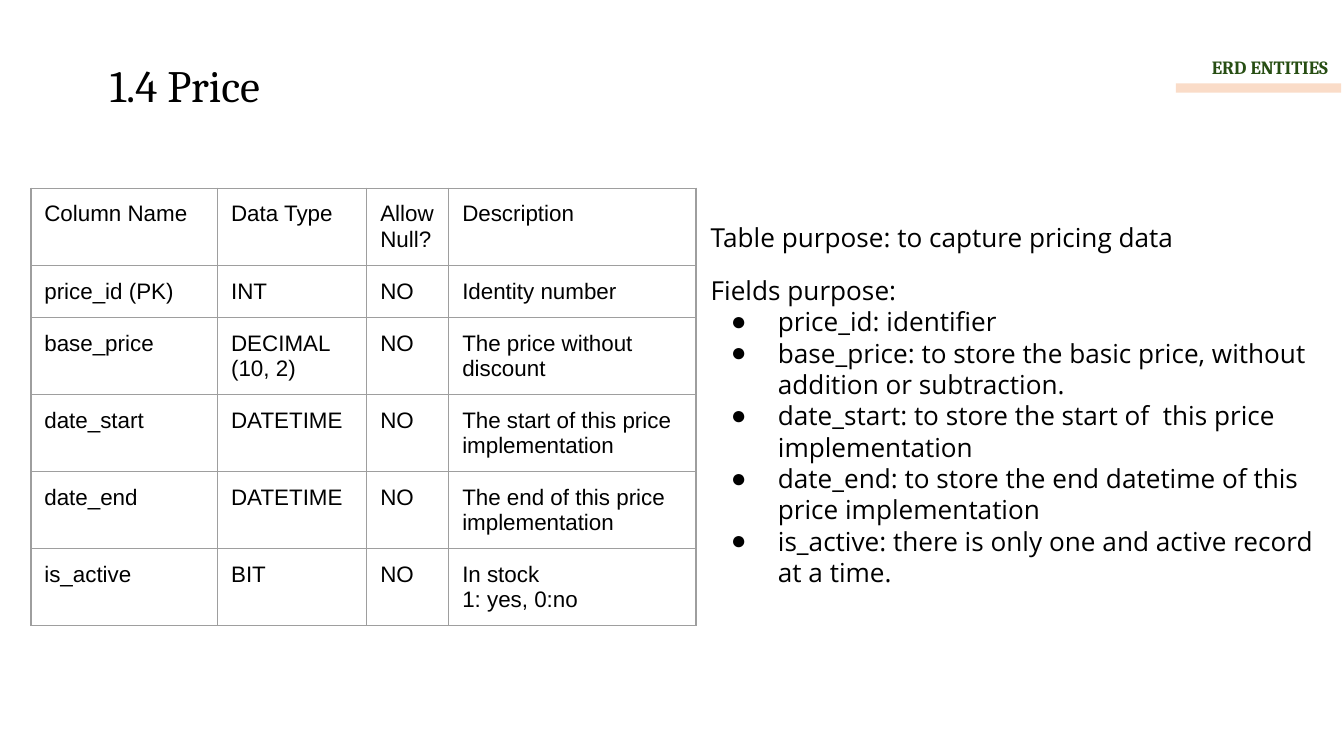
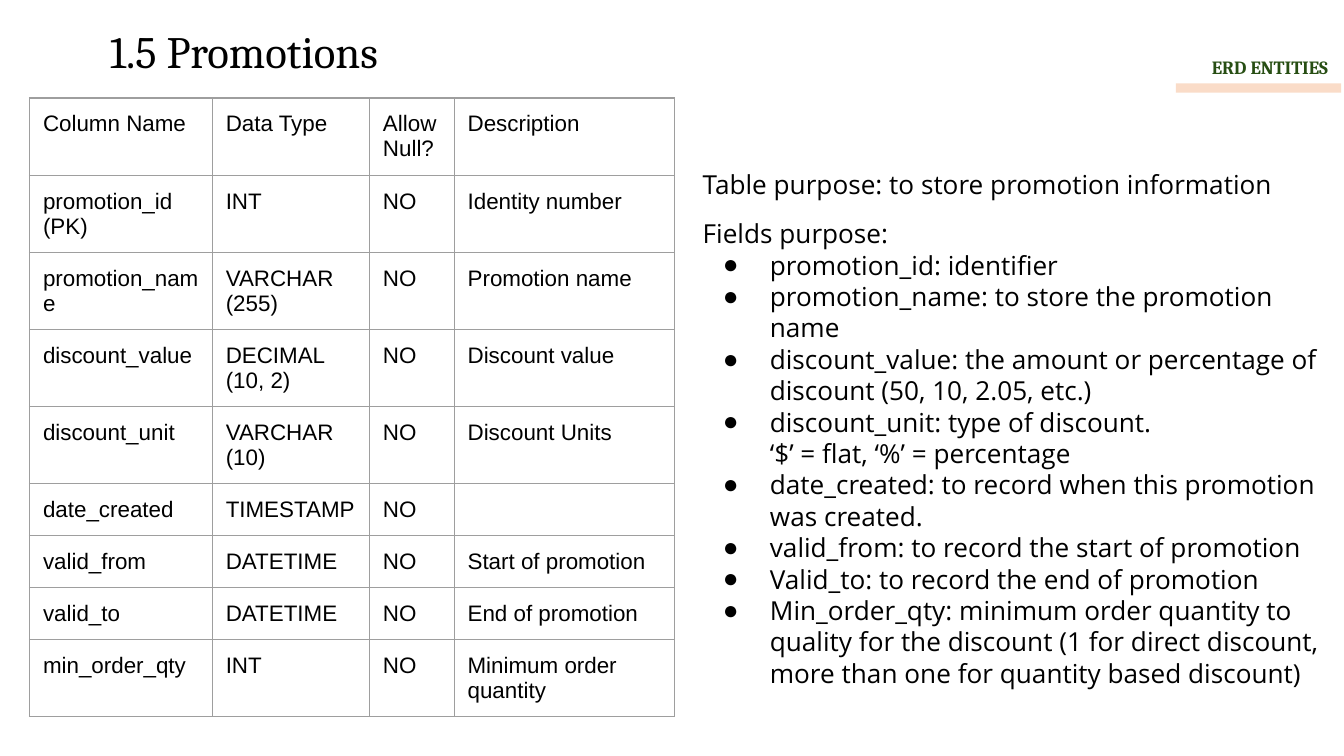
from dataclasses import dataclass

import pptx
import pptx.dml.color
import pptx.enum.shapes
import pptx.enum.text
import pptx.oxml.ns
import pptx.util
from lxml import etree

EMU_PER_PX = 9144


@dataclass(frozen=True)
class Theme:
    """Colours, fonts and type sizes shared by the slides."""
    ink: str = "000000"
    section_ink: str = "274E13"
    band: str = "FADCC8"
    grid: str = "9E9E9E"
    heading_font: str = "Cambria"
    table_font: str = "Arial"
    body_font: str = "Open Sans"
    bullet_font: str = "Arial"
    section_size: int = 10
    title_size: int = 24
    table_size: int = 12
    body_size: int = 14
    grid_width: float = 0.75
    section_spacing: float = 1.1
    inset: int = 10


THEME = Theme()
SECTION_BOX = (875, 30, 123, 45)
HEADER = ("Column Name", "Data Type", "Allow Null?", "Description")

ENTITIES = [
    {
        "title": "1.4 Price",
        "title_box": (72, 33, 647, 54),
        "table_box": (23, 140, 495, 340),
        "columns": (139, 111, 61, 184),
        "rows": (49, 38, 38, 38, 38, 38),
        "records": [
            ("price_id (PK)", "INT", "NO", "Identity number"),
            ("base_price", "DECIMAL (10, 2)", "NO", "The price without discount"),
            ("date_start", "DATETIME", "NO", "The start of this price implementation"),
            ("date_end", "DATETIME", "NO", "The end of this price implementation"),
            ("is_active", "BIT", "NO", "In stock\v1: yes, 0:no"),
        ],
        "fields_box": (519, 194, 480, 283),
        "fields": [
            "price_id: identifier",
            "base_price: to store the basic price, without addition or subtraction.",
            "date_start: to store the start of  this price implementation",
            "date_end: to store the end datetime of this price implementation",
            "is_active: there is only one and active record at a time.",
        ],
        "purpose_box": (519, 155, 480, 45),
        "purpose": "Table purpose: to capture pricing data",
    },
    {
        "title": "1.5 Promotions",
        "title_box": (72, 8, 647, 54),
        "table_box": (22, 73, 480, 500),
        "columns": (136, 117, 63, 164),
        "rows": (49, 38, 56, 56, 56, 38, 38, 38, 38),
        "records": [
            ("promotion_id (PK)", "INT", "NO", "Identity number"),
            ("promotion_name", "VARCHAR (255)", "NO", "Promotion name"),
            ("discount_value", "DECIMAL (10, 2)", "NO", "Discount value"),
            ("discount_unit", "VARCHAR (10)", "NO", "Discount Units"),
            ("date_created", "TIMESTAMP", "NO", ""),
            ("valid_from", "DATETIME", "NO", "Start of promotion"),
            ("valid_to", "DATETIME", "NO", "End of promotion"),
            ("min_order_qty", "INT", "NO", "Minimum order quantity"),
        ],
        "fields_box": (513, 152, 485, 338),
        "fields": [
            "promotion_id: identifier",
            "promotion_name: to store the promotion name",
            "discount_value: the amount or percentage of discount (50, 10, 2.05, etc.)",
            "discount_unit: type of discount.\v‘$’ = flat, ‘%’ = percentage",
            "date_created: to record when this promotion was created.",
            "valid_from: to record the start of promotion",
            "Valid_to: to record the end of promotion",
            "Min_order_qty: minimum order quantity to quality for the discount "
            "(1 for direct discount, more than one for quantity based discount)",
        ],
        "purpose_box": (513, 115, 480, 45),
        "purpose": "Table purpose: to store promotion information",
    },
]


def px(length):
    """Turn px into EMU."""
    return pptx.util.Emu(length * EMU_PER_PX)


def rgb(colour):
    """Return a colour object for a hex string."""
    return pptx.dml.color.RGBColor.from_string(colour)


def add_element(parent, tag, **attributes):
    """Append a drawing element to a parent element."""
    return etree.SubElement(parent, pptx.oxml.ns.qn(tag), **attributes)


def set_insets(holder):
    """Give a text frame or table cell the shared insets."""
    for side in ("left", "top", "right", "bottom"):
        setattr(holder, f"margin_{side}", px(THEME.inset))


def format_text(text_frame, font_name, size, colour=THEME.ink, bold=False):
    """Format every run in a text frame."""
    text_frame.auto_size = pptx.enum.text.MSO_AUTO_SIZE.NONE
    for paragraph in text_frame.paragraphs:
        paragraph.line_spacing = 1.0
        for run in paragraph.runs:
            run.font.name = font_name
            run.font.size = pptx.util.Pt(size)
            run.font.bold = bold
            run.font.color.rgb = rgb(colour)
            for script in ("a:ea", "a:cs"):
                add_element(run.font._element, script, typeface=font_name)
        for line_break in paragraph._p.findall(pptx.oxml.ns.qn("a:br")):
            add_element(line_break, "a:rPr", sz=str(size * 100))
        ending = add_element(paragraph._p, "a:endParaRPr", sz=str(size * 100))
        add_element(ending, "a:latin", typeface=font_name)


def add_text(slide, box, text, font_name, size, colour=THEME.ink, bold=False):
    """Add a wrapped text box and return its text frame."""
    text_frame = slide.shapes.add_textbox(*map(px, box)).text_frame
    text_frame.word_wrap = True
    set_insets(text_frame)
    text_frame.text = text
    format_text(text_frame, font_name, size, colour, bold)
    return text_frame


def add_section_tag(slide, box):
    """Add the section name and the band under it."""
    left, top, width, _ = box
    text_frame = add_text(slide, box, "ERD ENTITIES", THEME.heading_font,
                          THEME.section_size, THEME.section_ink, True)
    text_frame.paragraphs[0].alignment = pptx.enum.text.PP_ALIGN.RIGHT
    text_frame.paragraphs[0].line_spacing = THEME.section_spacing
    band = slide.shapes.add_shape(pptx.enum.shapes.MSO_SHAPE.RECTANGLE,
                                  *map(px, (left, top + 32, width, 7)))
    band.shadow.inherit = False
    band.fill.solid()
    band.fill.fore_color.rgb = rgb(THEME.band)
    band.line.fill.background()


def style_cell(cell):
    """Give a table cell its borders, insets, fill and type."""
    properties = cell._tc.get_or_add_tcPr()
    for side in ("L", "R", "T", "B"):
        line = add_element(properties, f"a:ln{side}",
                           w=str(pptx.util.Pt(THEME.grid_width)))
        add_element(add_element(line, "a:solidFill"), "a:srgbClr", val=THEME.grid)
    cell.fill.background()
    set_insets(cell)
    format_text(cell.text_frame, THEME.table_font, THEME.table_size)


def add_entity_table(slide, box, columns, rows, records):
    """Add the table that lists the columns of an entity."""
    frame = slide.shapes.add_table(len(rows), len(columns), *map(px, box))
    table = frame.table
    table.first_row = False
    table.horz_banding = False
    for column, width in zip(table.columns, columns):
        column.width = px(width)
    for row, height, texts in zip(table.rows, rows, [HEADER, *records]):
        row.height = px(height)
        for cell, text in zip(row.cells, texts):
            cell.text = text
            style_cell(cell)
    frame.height = px(box[3])


def add_bullet(paragraph):
    """Turn a paragraph into a bulleted one with a hanging indent."""
    properties = paragraph._p.get_or_add_pPr()
    properties.set("marL", str(px(50)))
    properties.set("indent", str(px(-35)))
    add_element(add_element(properties, "a:buClr"), "a:srgbClr", val=THEME.ink)
    add_element(properties, "a:buFont", typeface=THEME.bullet_font)
    add_element(properties, "a:buChar", char="●")


def add_field_list(slide, box, fields):
    """Add the bulleted purpose of each field."""
    text_frame = add_text(slide, box, "\n".join(["Fields purpose:", *fields]),
                          THEME.body_font, THEME.body_size)
    for paragraph in text_frame.paragraphs[1:]:
        add_bullet(paragraph)


def add_entity_slide(presentation, entity):
    """Add one slide that describes an entity."""
    slide = presentation.slides.add_slide(presentation.slide_layouts[6])
    add_section_tag(slide, SECTION_BOX)
    add_text(slide, entity["title_box"], entity["title"],
             THEME.heading_font, THEME.title_size)
    add_entity_table(slide, entity["table_box"], entity["columns"],
                     entity["rows"], entity["records"])
    add_field_list(slide, entity["fields_box"], entity["fields"])
    add_text(slide, entity["purpose_box"], entity["purpose"],
             THEME.body_font, THEME.body_size)


def main():
    """Build the presentation and save it."""
    presentation = pptx.Presentation()
    presentation.slide_width = px(1000)
    presentation.slide_height = presentation.slide_width * 9 // 16
    for entity in ENTITIES:
        add_entity_slide(presentation, entity)
    presentation.save("out.pptx")


if __name__ == "__main__":
    main()
